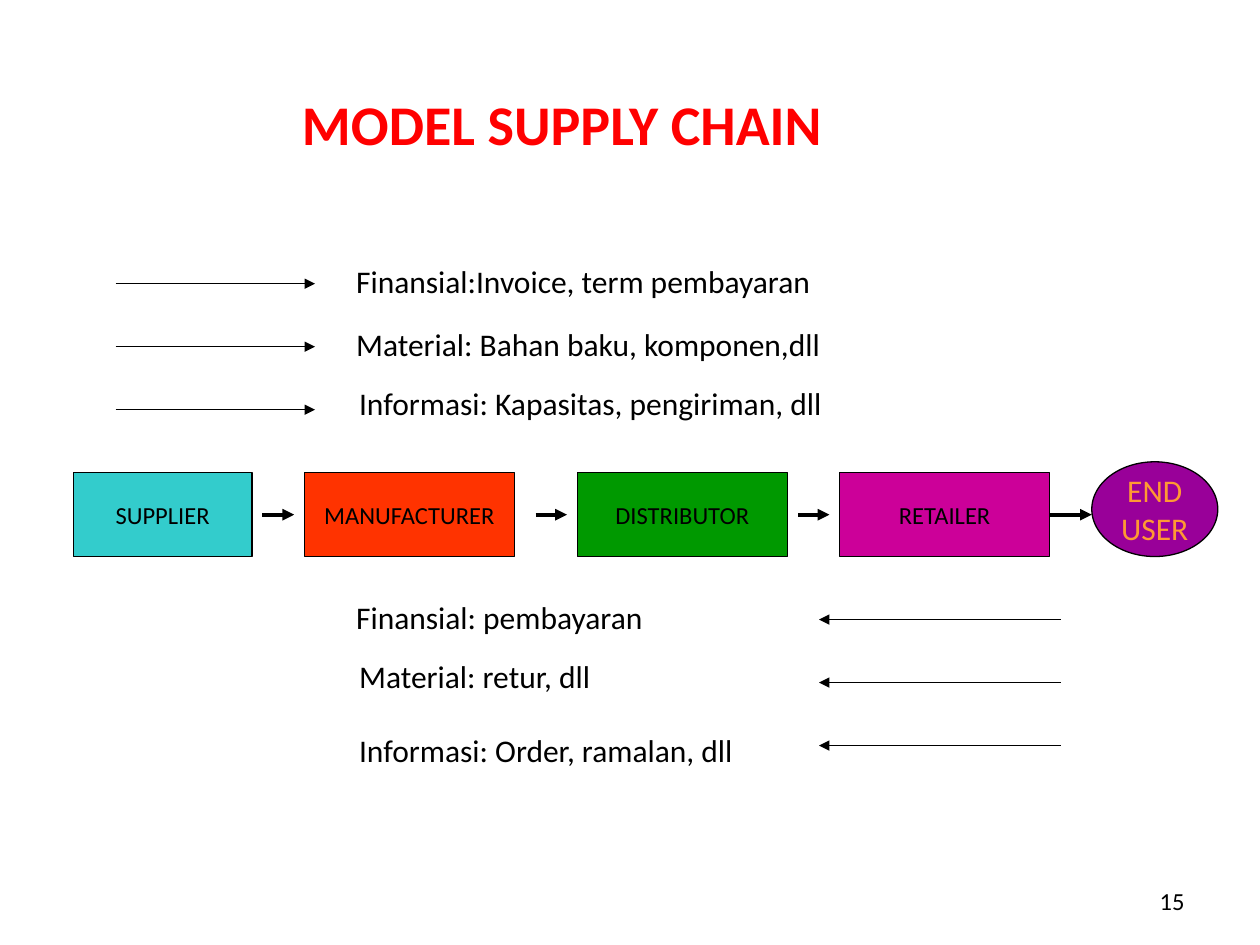
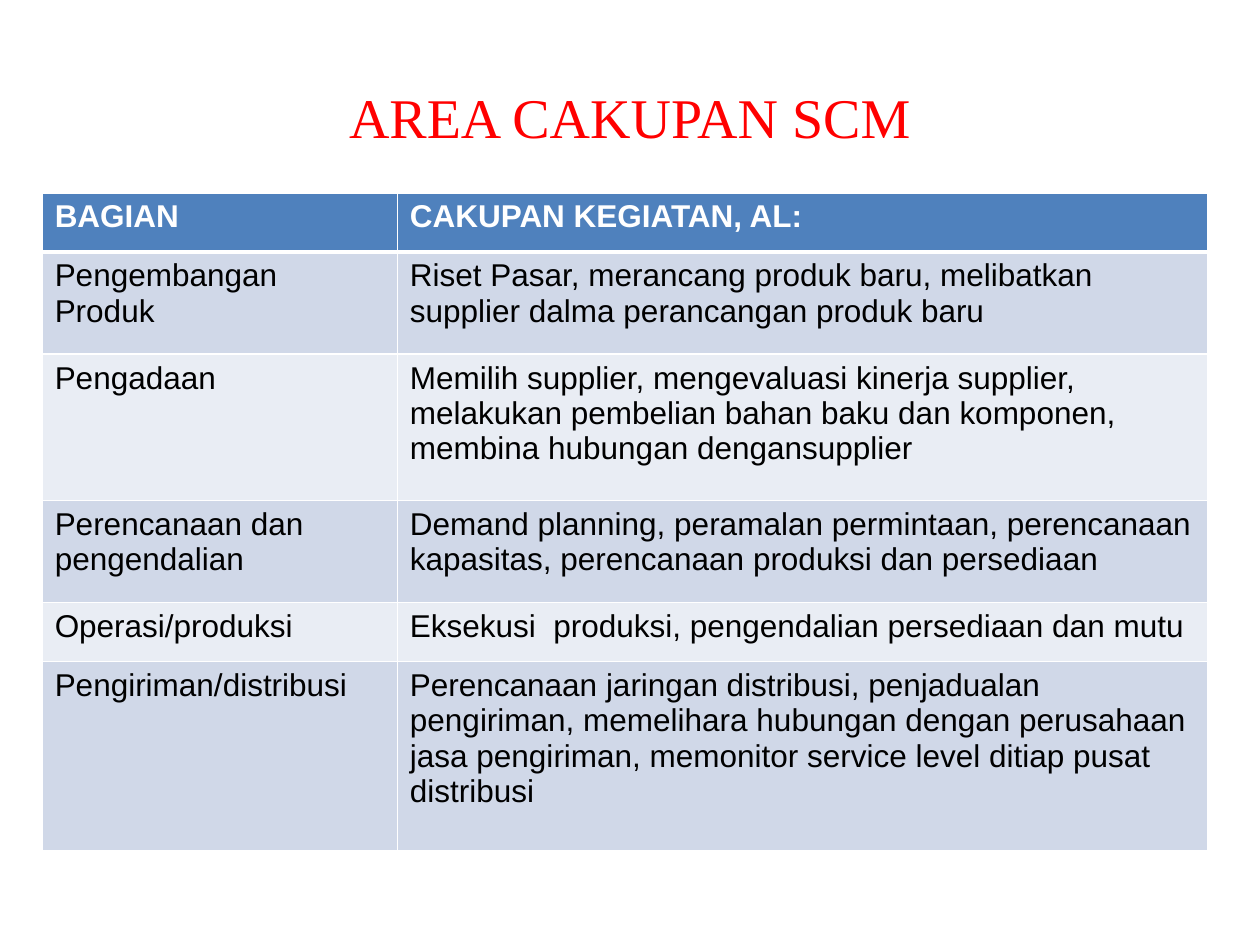
from dataclasses import dataclass

from lxml.etree import SubElement
from pptx import Presentation
from pptx.dml.color import RGBColor
from pptx.enum.shapes import MSO_CONNECTOR, MSO_SHAPE
from pptx.enum.text import MSO_ANCHOR, PP_ALIGN
from pptx.oxml.ns import qn
from pptx.shapes.autoshape import Shape
from pptx.shapes.connector import Connector
from pptx.slide import Slide
from pptx.table import _Cell
from pptx.text.text import TextFrame
from pptx.util import Cm, Pt

BLACK, WHITE, RED = "000000", "FFFFFF", "FF0000"
HEADER_FILL = "4F81BD"
BAND_FILLS = ("D0D8E8", "E9EDF4")


@dataclass(frozen=True)
class Box:
    left: float
    top: float
    width: float
    height: float

    def lengths(self) -> tuple[Cm, Cm, Cm, Cm]:
        return Cm(self.left), Cm(self.top), Cm(self.width), Cm(self.height)


@dataclass(frozen=True)
class TextStyle:
    size: int
    font: str = "Calibri"
    color: str = BLACK
    bold: bool = False
    align: PP_ALIGN = PP_ALIGN.LEFT


@dataclass(frozen=True)
class Stage:
    lines: tuple[str, ...]
    box: Box
    fill: str
    style: TextStyle
    kind: MSO_SHAPE = MSO_SHAPE.RECTANGLE


@dataclass(frozen=True)
class FlowGroup:
    start: float
    end: float
    first_y: float
    labels: tuple[tuple[str, float, float], ...]


STAGE_TOP, STAGE_HEIGHT = 9.53, 1.69
FLOW_STEP = 1.27
LABEL_WIDTH, LABEL_HEIGHT = 12.5, 1.02
STAGE_STYLE = TextStyle(14, align=PP_ALIGN.CENTER)
USER_STYLE = TextStyle(18, color="FF9933", align=PP_ALIGN.CENTER)
LABEL_STYLE = TextStyle(18)
NUMBER_STYLE = TextStyle(14, align=PP_ALIGN.RIGHT)

STAGES = (
    Stage(("SUPPLIER",), Box(1.48, STAGE_TOP, 3.6, STAGE_HEIGHT), "33CCCC", STAGE_STYLE),
    Stage(("MANUFACTURER",), Box(6.14, STAGE_TOP, 4.23, STAGE_HEIGHT), "FF3300", STAGE_STYLE),
    Stage(("DISTRIBUTOR",), Box(11.64, STAGE_TOP, 4.23, STAGE_HEIGHT), "009900", STAGE_STYLE),
    Stage(("RETAILER",), Box(16.93, STAGE_TOP, 4.23, STAGE_HEIGHT), "CC0099", STAGE_STYLE),
    Stage(("END", "USER"), Box(22.01, 9.31, 2.54, 1.91), "990099", USER_STYLE, MSO_SHAPE.OVAL),
)
STAGE_ARROWS = ((5.29, 5.93), (10.8, 11.43), (16.09, 16.72), (21.16, 22.01))

FLOWS = (
    FlowGroup(2.33, 6.35, 5.72, (
        ("Finansial:Invoice, term pembayaran", 6.93, 5.16),
        ("Material: Bahan baku, komponen,dll", 6.93, 6.43),
        ("Informasi: Kapasitas, pengiriman, dll", 6.99, 7.62),
    )),
    FlowGroup(21.38, 16.51, 12.49, (
        ("Finansial: pembayaran", 6.93, 11.94),
        ("Material: retur, dll", 6.99, 13.13),
        ("Informasi: Order, ramalan, dll", 6.99, 14.61),
    )),
)

SCOPE_ROWS = (
    ("BAGIAN", "CAKUPAN KEGIATAN, AL:"),
    ("Pengembangan Produk",
     "Riset Pasar, merancang produk baru, melibatkan supplier dalma perancangan produk baru"),
    ("Pengadaan",
     "Memilih supplier, mengevaluasi kinerja supplier, melakukan pembelian bahan baku dan "
     "komponen, membina hubungan dengansupplier"),
    ("Perencanaan dan pengendalian",
     "Demand planning, peramalan permintaan, perencanaan kapasitas, perencanaan produksi "
     "dan persediaan"),
    ("Operasi/produksi", "Eksekusi  produksi, pengendalian persediaan dan mutu"),
    ("Pengiriman/distribusi",
     "Perencanaan jaringan distribusi, penjadualan pengiriman, memelihara hubungan dengan "
     "perusahaan jasa pengiriman, memonitor service level ditiap pusat distribusi"),
)
SCOPE_COLUMNS = (7.16, 16.33)
SCOPE_HEIGHTS = (1.19, 2.06, 2.95, 2.06, 1.19, 3.81)


def rgb(color: str) -> RGBColor:
    return RGBColor.from_string(color)


def write_text(frame: TextFrame, lines: tuple[str, ...], style: TextStyle) -> None:
    for index, line in enumerate(lines):
        paragraph = frame.add_paragraph() if index else frame.paragraphs[0]
        paragraph.alignment = style.align
        run = paragraph.add_run()
        run.text = line
        run.font.name = style.font
        run.font.size = Pt(style.size)
        run.font.bold = style.bold
        run.font.color.rgb = rgb(style.color)


def add_titled_slide(presentation: Presentation, title: str, box: Box, style: TextStyle) -> Slide:
    slide = presentation.slides.add_slide(presentation.slide_layouts[5])
    shape = slide.shapes.title
    shape.left, shape.top, shape.width, shape.height = box.lengths()
    shape.text_frame.vertical_anchor = MSO_ANCHOR.MIDDLE
    write_text(shape.text_frame, (title,), style)
    return slide


def add_label(slide: Slide, text: str, box: Box, style: TextStyle,
              anchor: MSO_ANCHOR = MSO_ANCHOR.TOP) -> None:
    frame = slide.shapes.add_textbox(*box.lengths()).text_frame
    frame.word_wrap = True
    frame.vertical_anchor = anchor
    write_text(frame, (text,), style)


def add_stage(slide: Slide, stage: Stage) -> Shape:
    shape = slide.shapes.add_shape(stage.kind, *stage.box.lengths())
    shape.shadow.inherit = False
    shape.fill.solid()
    shape.fill.fore_color.rgb = rgb(stage.fill)
    shape.line.color.rgb = rgb(BLACK)
    shape.line.width = Pt(0.75)
    shape.text_frame.word_wrap = False
    shape.text_frame.vertical_anchor = MSO_ANCHOR.MIDDLE
    write_text(shape.text_frame, stage.lines, stage.style)
    return shape


def add_arrow(slide: Slide, start: float, end: float, y: float, weight: float) -> Connector:
    arrow = slide.shapes.add_connector(MSO_CONNECTOR.STRAIGHT, Cm(start), Cm(y), Cm(end), Cm(y))
    arrow.line.color.rgb = rgb(BLACK)
    arrow.line.width = Pt(weight)
    SubElement(arrow.line._get_or_add_ln(), qn("a:tailEnd"), type="triangle")
    SubElement(arrow._element.spPr, qn("a:effectLst"))
    return arrow


def style_cell(cell: _Cell, row: int) -> None:
    properties = cell._tc.get_or_add_tcPr()
    weights = {"L": 1, "R": 1, "T": 3 if row == 1 else 1, "B": 3 if row == 0 else 1}
    for side, weight in weights.items():
        border = SubElement(properties, qn(f"a:ln{side}"), w=str(Pt(weight)))
        fill = SubElement(border, qn("a:solidFill"))
        SubElement(fill, qn("a:srgbClr"), val=WHITE)
    cell.fill.solid()
    cell.fill.fore_color.rgb = rgb(BAND_FILLS[(row - 1) % 2] if row else HEADER_FILL)


def build_model_slide(presentation: Presentation) -> None:
    slide = add_titled_slide(presentation, "MODEL SUPPLY CHAIN", Box(1.27, 0.89, 20.12, 3.18),
                             TextStyle(32, color=RED, bold=True, align=PP_ALIGN.CENTER))
    add_label(slide, "15", Box(18.21, 17.65, 5.92, 1.02), NUMBER_STYLE, MSO_ANCHOR.MIDDLE)
    shapes = [add_stage(slide, stage) for stage in STAGES]
    middle = STAGE_TOP + STAGE_HEIGHT / 2
    arrows = [add_arrow(slide, start, end, middle, 2.25) for start, end in STAGE_ARROWS]
    retailer = shapes[3]
    arrows[-1].begin_connect(retailer, 3)
    for flow in FLOWS:
        for index, (text, left, top) in enumerate(flow.labels):
            add_arrow(slide, flow.start, flow.end, flow.first_y + index * FLOW_STEP, 0.75)
            add_label(slide, text, Box(left, top, LABEL_WIDTH, LABEL_HEIGHT), LABEL_STYLE)


def build_scope_slide(presentation: Presentation) -> None:
    slide = add_titled_slide(presentation, "AREA CAKUPAN SCM", Box(1.27, 0.76, 22.86, 3.18),
                             TextStyle(32, "Times New Roman", RED, align=PP_ALIGN.CENTER))
    box = Box(0.85, 3.89, sum(SCOPE_COLUMNS), sum(SCOPE_HEIGHTS))
    table = slide.shapes.add_table(len(SCOPE_ROWS), len(SCOPE_COLUMNS), *box.lengths()).table
    for column, width in zip(table.columns, SCOPE_COLUMNS):
        column.width = Cm(width)
    header_style = TextStyle(18, "Arial", WHITE, True)
    body_style = TextStyle(18, "Arial")
    for row, (texts, height) in enumerate(zip(SCOPE_ROWS, SCOPE_HEIGHTS)):
        table.rows[row].height = Cm(height)
        for column, text in enumerate(texts):
            cell = table.cell(row, column)
            style_cell(cell, row)
            write_text(cell.text_frame, (text,), body_style if row else header_style)


def main() -> None:
    presentation = Presentation()
    presentation.slide_width, presentation.slide_height = Cm(25.4), Cm(19.05)
    build_model_slide(presentation)
    build_scope_slide(presentation)
    presentation.save("out.pptx")


if __name__ == "__main__":
    main()
